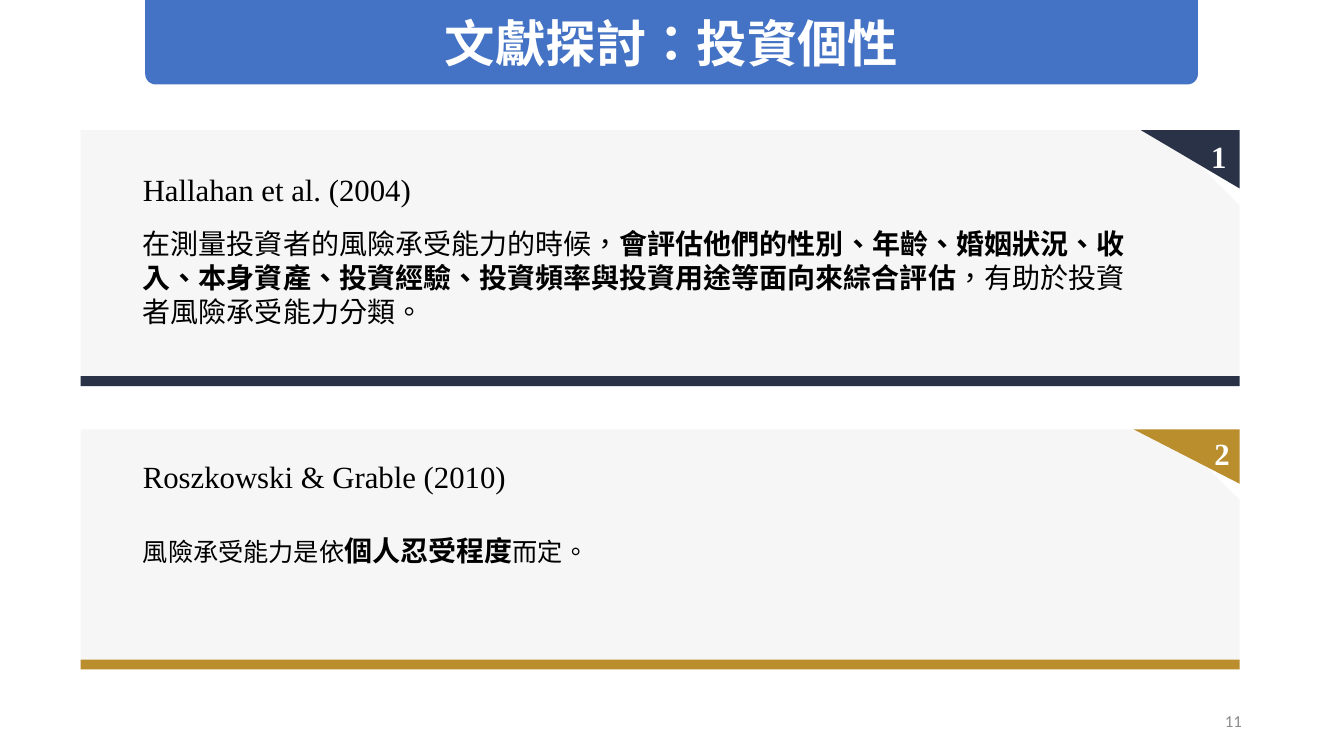
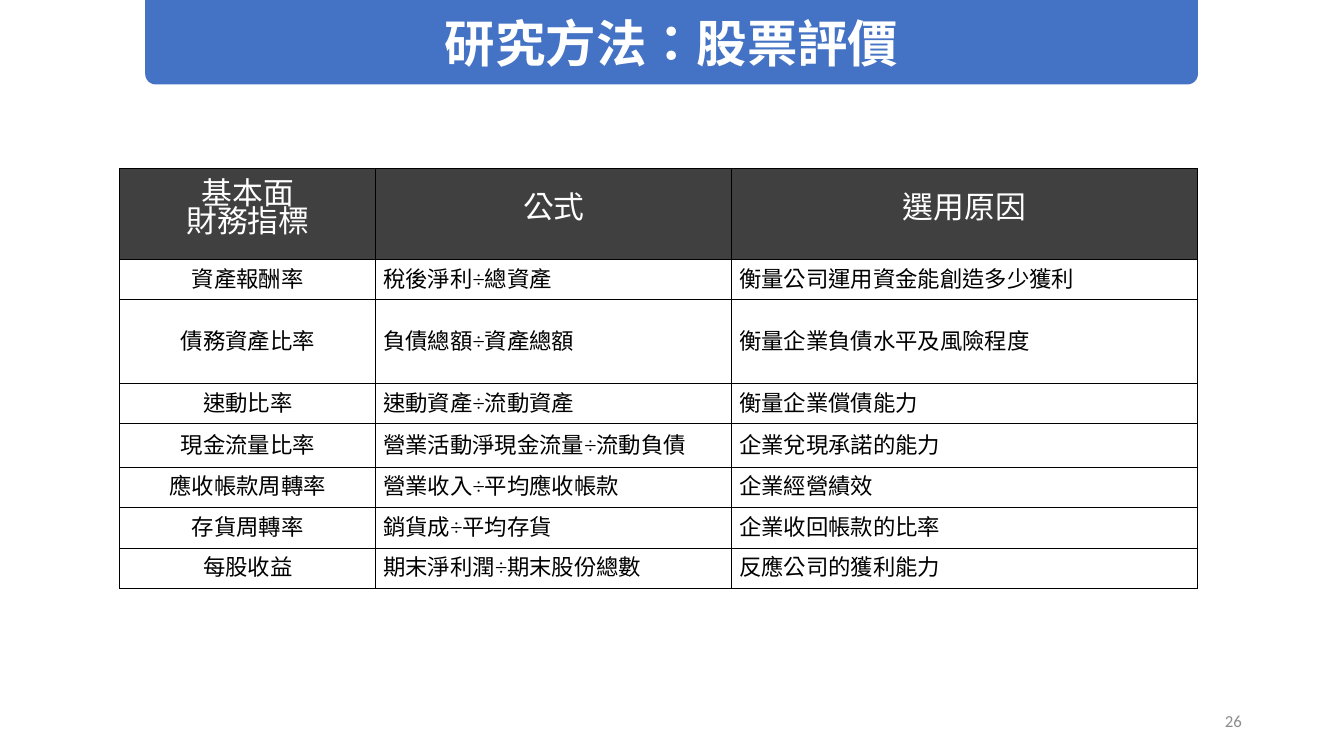
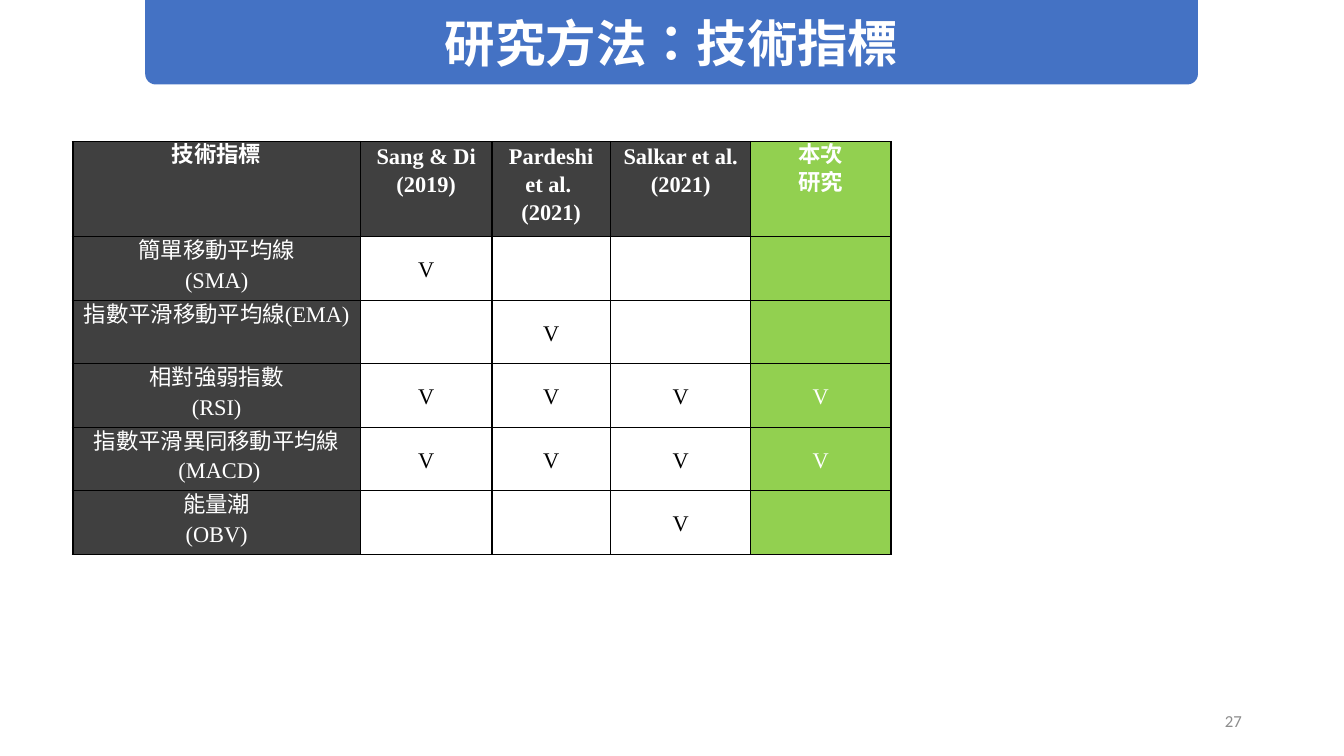
import lxml.etree
import pptx
import pptx.dml.color
import pptx.enum.shapes
import pptx.enum.text
import pptx.oxml.ns
import pptx.util

Cm = pptx.util.Cm
Pt = pptx.util.Pt
qn = pptx.oxml.ns.qn
SHAPES = pptx.enum.shapes.MSO_SHAPE
ALIGN = pptx.enum.text.PP_ALIGN
ANCHOR = pptx.enum.text.MSO_ANCHOR

COLOURS = {
    "band": "4472C4", "white": "FFFFFF", "black": "000000", "number": "8C8C8C",
    "panel": "F6F6F6", "navy": "293247", "gold": "BA8D2D",
    "head": "404040", "own": "92D050",
}
ASIAN_FONT = "Noto Sans CJK SC"
SERIF = "Times New Roman"


class Deck:
    """Hold the shared style and the current slide, and draw each kind of element."""

    def __init__(self):
        self.deck = pptx.Presentation()
        self.deck.slide_width, self.deck.slide_height = Cm(33.87), Cm(19.05)
        self.page = None

    def colour(self, name):
        return pptx.dml.color.RGBColor.from_string(COLOURS[name])

    def apply(self, target, values):
        for name, value in values.items():
            setattr(target, name, value)

    def add_paras(self, frame, paras, colour="black", align=ALIGN.LEFT, spacing=None, **style):
        for index, spans in enumerate(paras):
            para = frame.paragraphs[0] if index == 0 else frame.add_paragraph()
            self.apply(para, {"alignment": align, "line_spacing": spacing})
            for text, changes in spans:
                span = para.add_run()
                span.text = text
                self.apply(span.font, {"name": SERIF, "bold": False, **style, **changes})
                span.font.color.rgb = self.colour(colour)
                properties = span._r.get_or_add_rPr()
                properties.set("lang", "zh-TW")
                lxml.etree.SubElement(properties, qn("a:ea"), typeface=ASIAN_FONT)

    def paint(self, shape, colour):
        shape.shadow.inherit = False
        shape.fill.solid()
        shape.fill.fore_color.rgb = self.colour(colour)
        shape.line.fill.background()
        return shape

    def shape(self, kind, area, colour, adjustments=()):
        shape = self.page.shapes.add_shape(kind, *map(Cm, area))
        for index, value in enumerate(adjustments):
            shape.adjustments[index] = value
        return self.paint(shape, colour)

    def text(self, area, spans, anchor=ANCHOR.TOP, **style):
        frame = self.page.shapes.add_textbox(*map(Cm, area)).text_frame
        self.apply(frame, {"word_wrap": True, "vertical_anchor": anchor})
        self.add_paras(frame, [spans], **style)

    def start(self, heading, number):
        self.page = self.deck.slides.add_slide(self.deck.slide_layouts[5])
        area = (3.66, 0, 26.53, 2.13)
        title = self.page.shapes.title
        band = self.shape(SHAPES.ROUND_2_SAME_RECTANGLE, area, "band", (0, 0.125))
        title._element.addprevious(band._element)
        self.apply(title, dict(zip(("left", "top", "width", "height"), map(Cm, area))))
        title.text_frame.vertical_anchor = ANCHOR.MIDDLE
        self.add_paras(title.text_frame, [[(heading, {})]], "white", ALIGN.CENTER,
                       name=ASIAN_FONT, size=Pt(36), bold=True)
        self.text((23.93, 17.65, 7.62, 1.02), [(str(number), {})], ANCHOR.MIDDLE,
                  colour="number", align=ALIGN.RIGHT, name="Calibri", size=Pt(12))

    def card(self, number, colour, top, height, corner, insets, heading, body):
        left, width, bar = 2.03, 29.21, 0.25
        right = left + width
        self.shape(SHAPES.SNIP_1_RECTANGLE, (left, top, width, height), "panel", (0.294,))
        self.shape(SHAPES.RECTANGLE, (left, top + height - bar, width, bar), colour)
        builder = self.page.shapes.build_freeform(Cm(right), Cm(top))
        builder.add_line_segments([(Cm(right - corner[0]), Cm(top)),
                                   (Cm(right), Cm(top + corner[1]))])
        flag = self.paint(builder.convert_to_shape(), colour)
        across, down = map(Cm, insets)
        self.apply(flag.text_frame, {
            "word_wrap": True, "vertical_anchor": ANCHOR.TOP, "margin_left": across,
            "margin_right": across, "margin_top": down, "margin_bottom": down})
        self.add_paras(flag.text_frame, [[(str(number), {})]], "white", ALIGN.RIGHT,
                       size=Pt(22), bold=True)
        for offset, tall, spans in (heading, body):
            self.text((3.35, top + offset, 25.88, tall), spans)

    def border(self, cell, widths):
        properties = cell._tc.get_or_add_tcPr()
        for index, (side, width) in enumerate(zip("LRTB", widths)):
            line = lxml.etree.Element(qn("a:ln" + side), w=str(int(Pt(width))))
            fill = lxml.etree.SubElement(line, qn("a:solidFill"))
            lxml.etree.SubElement(fill, qn("a:srgbClr"), val=COLOURS["black"])
            properties.insert(index, line)

    def table(self, left, top, widths, heights, rows, look, thick=()):
        grid = self.page.shapes.add_table(
            len(rows), len(widths), Cm(left), Cm(top), Cm(sum(widths)), Cm(sum(heights))).table
        self.apply(grid, {"first_row": False, "horz_banding": False})
        for column, width in zip(grid.columns, widths):
            column.width = Cm(width)
        for line, height in zip(grid.rows, heights):
            line.height = Cm(height)
        for row, texts in enumerate(rows):
            for column, text in enumerate(texts):
                cell = grid.cell(row, column)
                fill, anchor, style = look(row, column)
                self.apply(cell, {"margin_left": Cm(0.19), "margin_right": Cm(0.19),
                                  "margin_top": 0, "margin_bottom": 0,
                                  "vertical_anchor": anchor})
                if fill:
                    cell.fill.solid()
                    cell.fill.fore_color.rgb = self.colour(fill)
                else:
                    cell.fill.background()
                self.border(cell, [1.5 if edge in thick else 0.75
                                   for edge in (column, column + 1)] + [0.75, 0.75])
                if text:
                    paras = [[(part, {})] for part in text.split("\n")]
                    self.add_paras(cell.text_frame, paras, spacing=Pt(20), **style)


def valuation_look(row, column):
    """Give fill, anchor and text style of a cell in the valuation table."""
    if row == 0:
        return "head", ANCHOR.MIDDLE, {"colour": "white", "align": ALIGN.CENTER, "size": Pt(22)}
    align = ALIGN.LEFT if column else ALIGN.CENTER
    return None, ANCHOR.MIDDLE, {"align": align, "size": Pt(16)}


def indicator_look(row, column):
    """Give fill, anchor and text style of a cell in the indicator table."""
    label = row == 0 or column == 0
    fill = "own" if column == 4 else "head" if label else None
    style = {"colour": "white" if fill else "black", "align": ALIGN.CENTER,
             "size": Pt(16), "bold": row == 0}
    return fill, ANCHOR.TOP if label else ANCHOR.MIDDLE, style


def main():
    """Build the three slides and save them."""
    deck = Deck()
    small, medium, large = ({"size": Pt(size)} for size in (18, 20, 22))
    strong = {**medium, "bold": True}

    deck.start("文獻探討：投資個性", 11)
    deck.card(2, "gold", 10.82, 6.05, (2.67, 1.37), (0.25, 0.13),
              (0.58, 1.19, [("Roszkowski & Grable (2010)", large)]),
              (2.49, 1.12, [("風險承受能力是依", small), ("個人忍受程度", strong),
                            ("而定。", small)]))
    deck.card(1, "navy", 3.28, 6.45, (2.49, 1.47), (0.33, 0.18),
              (0.89, 1.19, [("Hallahan et al. (2004)", large)]),
              (2.31, 2.82, [
                  ("在測量投資者的風險承受能力的時候，", medium),
                  ("會評估他們的性別、年齡、婚姻狀況、收入、本身資產、投資經驗、"
                   "投資頻率與投資用途等面向來綜合評估", strong),
                  ("，有助於投資者風險承受能力分類。", medium)]))

    deck.start("研究方法：股票評價", 26)
    deck.table(3.02, 4.24, (6.45, 8.97, 11.73),
               (2.29, 1.02, 2.11, 1.02, 1.09, 1.02, 1.02, 1.02), [
        ("基本面\n財務指標", "公式", "選用原因"),
        ("資產報酬率", "稅後淨利÷總資產", "衡量公司運用資金能創造多少獲利"),
        ("債務資產比率", "負債總額÷資產總額", "衡量企業負債水平及風險程度"),
        ("速動比率", "速動資產÷流動資產", "衡量企業償債能力"),
        ("現金流量比率", "營業活動淨現金流量÷流動負債", "企業兌現承諾的能力"),
        ("應收帳款周轉率", "營業收入÷平均應收帳款", "企業經營績效"),
        ("存貨周轉率", "銷貨成÷平均存貨", "企業收回帳款的比率"),
        ("每股收益", "期末淨利潤÷期末股份總數", "反應公司的獲利能力"),
    ], valuation_look)

    deck.start("研究方法：技術指標", 27)
    deck.table(1.83, 3.56, (7.26, 3.3, 3, 3.53, 3.53), [2.41] + [1.6] * 5, [
        ("技術指標", "Sang & Di\n(2019)", "Pardeshi et al. \n(2021)",
         "Salkar et al.\n(2021)", "本次\n研究"),
        ("簡單移動平均線\n(SMA)", "V", "", "", ""),
        ("指數平滑移動平均線(EMA)", "", "V", "", ""),
        ("相對強弱指數\n(RSI)", "V", "V", "V", "V"),
        ("指數平滑異同移動平均線\n (MACD)", "V", "V", "V", "V"),
        ("能量潮\n(OBV)", "", "", "V", ""),
    ], indicator_look, thick=(0, 2, 5))

    deck.deck.save("out.pptx")


if __name__ == "__main__":
    main()
